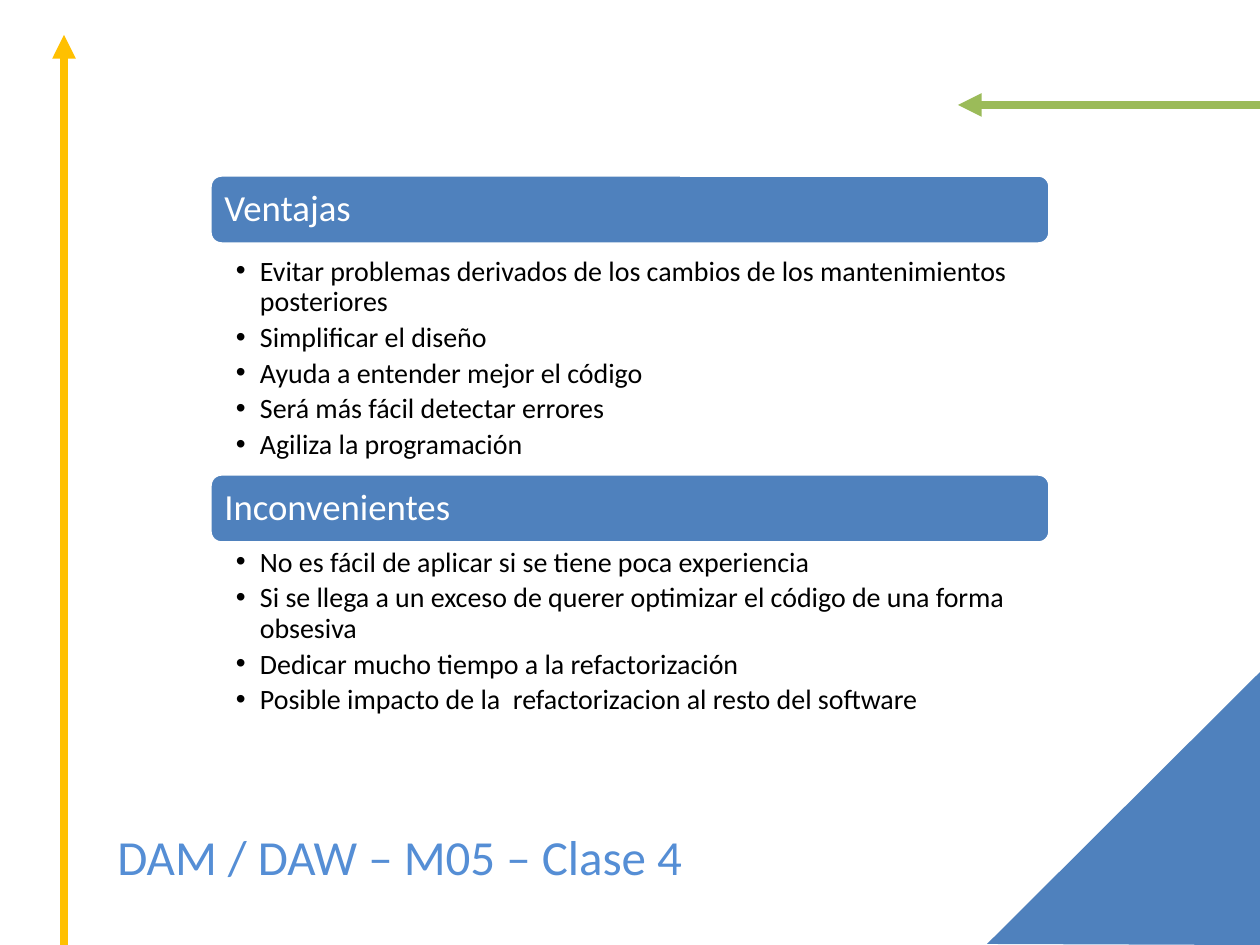
from lxml import etree
from pptx import Presentation
from pptx.dml.color import RGBColor
from pptx.enum.shapes import MSO_CONNECTOR, MSO_SHAPE
from pptx.enum.text import MSO_ANCHOR, PP_ALIGN
from pptx.oxml.ns import qn
from pptx.util import Pt

PX = 914400 / 126
STRAIGHT = MSO_CONNECTOR.STRAIGHT
ROUNDED = MSO_SHAPE.ROUNDED_RECTANGLE
MIDDLE = MSO_ANCHOR.MIDDLE
LEFT = PP_ALIGN.LEFT

BLUE = RGBColor(0x4F, 0x81, 0xBD)
TITLE_BLUE = RGBColor(0x55, 0x8E, 0xD5)
GOLD = RGBColor(0xFF, 0xC0, 0x00)
GREEN = RGBColor(0x9B, 0xBB, 0x59)
WHITE = RGBColor(0xFF, 0xFF, 0xFF)
BLACK = RGBColor(0x00, 0x00, 0x00)


def px(*lengths):
    return [round(length * PX) for length in lengths]


def style_paragraph(para, size, color):
    para.alignment = LEFT
    for span in para.runs:
        span.font.name = "Calibri"
        span.font.size = Pt(size)
        span.font.color.rgb = color


deck = Presentation()
deck.slide_width, deck.slide_height = px(1260, 945)
page = deck.slides.add_slide(deck.slide_layouts[6])

arrows = [
    ((64, 945, 64, 35), GOLD),
    ((1260, 105, 958, 105), GREEN),
]
for ends, color in arrows:
    arrow = page.shapes.add_connector(STRAIGHT, *px(*ends))
    arrow.line.color.rgb = color
    arrow.line.width = Pt(4.5)
    etree.SubElement(arrow.line._get_or_add_ln(), qn("a:tailEnd"), type="triangle")
    etree.SubElement(arrow._element.spPr, qn("a:effectLst"))

builder = page.shapes.build_freeform(987, 944, scale=PX)
builder.add_line_segments([(1260, 672), (1260, 945)], close=True)
corner = builder.convert_to_shape()
corner.shadow.inherit = False
corner.fill.solid()
corner.fill.fore_color.rgb = BLUE
corner.line.fill.background()

sections = [
    ("Ventajas", 175, 253, 222, [
        "Evitar problemas derivados de los cambios de los mantenimientos posteriores",
        "Simplificar el diseño",
        "Ayuda a entender mejor el código",
        "Será más fácil detectar errores",
        "Agiliza la programación",
    ]),
    ("Inconvenientes", 474, 544, 183, [
        "No es fácil de aplicar si se tiene poca experiencia",
        "Si se llega a un exceso de querer optimizar el código de una forma obsesiva",
        "Dedicar mucho tiempo a la refactorización",
        "Posible impacto de la  refactorizacion al resto del software",
    ]),
]
for heading, heading_top, list_top, list_height, points in sections:
    banner = page.shapes.add_shape(ROUNDED, *px(210, heading_top, 840, 69))
    banner.shadow.inherit = False
    banner.fill.solid()
    banner.fill.fore_color.rgb = BLUE
    banner.line.color.rgb = WHITE
    banner.line.width = Pt(2)
    frame = banner.text_frame
    frame.text = heading
    frame.vertical_anchor = MIDDLE
    frame.margin_left, frame.margin_right = px(11, 11)
    frame.paragraphs[0].line_spacing = 0.9
    style_paragraph(frame.paragraphs[0], 21, WHITE)

    box = page.shapes.add_textbox(*px(210, list_top, 840, list_height))
    frame = box.text_frame
    frame.word_wrap = True
    frame.margin_left, frame.margin_right = px(26, 20)
    frame.margin_top, frame.margin_bottom = px(4, 4)
    frame.text = "\n".join(points)
    for para in frame.paragraphs:
        para.line_spacing = 0.9
        para.space_after = Pt(3.2)
        style_paragraph(para, 16, BLACK)
        indent = px(24)[0]
        properties = para._p.get_or_add_pPr()
        properties.set("marL", str(indent))
        properties.set("indent", str(-indent))
        etree.SubElement(properties, qn("a:buFont"), typeface="Arial")
        etree.SubElement(properties, qn("a:buChar"), char="•")

title = page.shapes.add_textbox(*px(105, 820, 784, 73))
title.text_frame.word_wrap = True
title.text_frame.text = "DAM / DAW – M05 – Clase 4"
style_paragraph(title.text_frame.paragraphs[0], 28, TITLE_BLUE)

deck.save("out.pptx")
